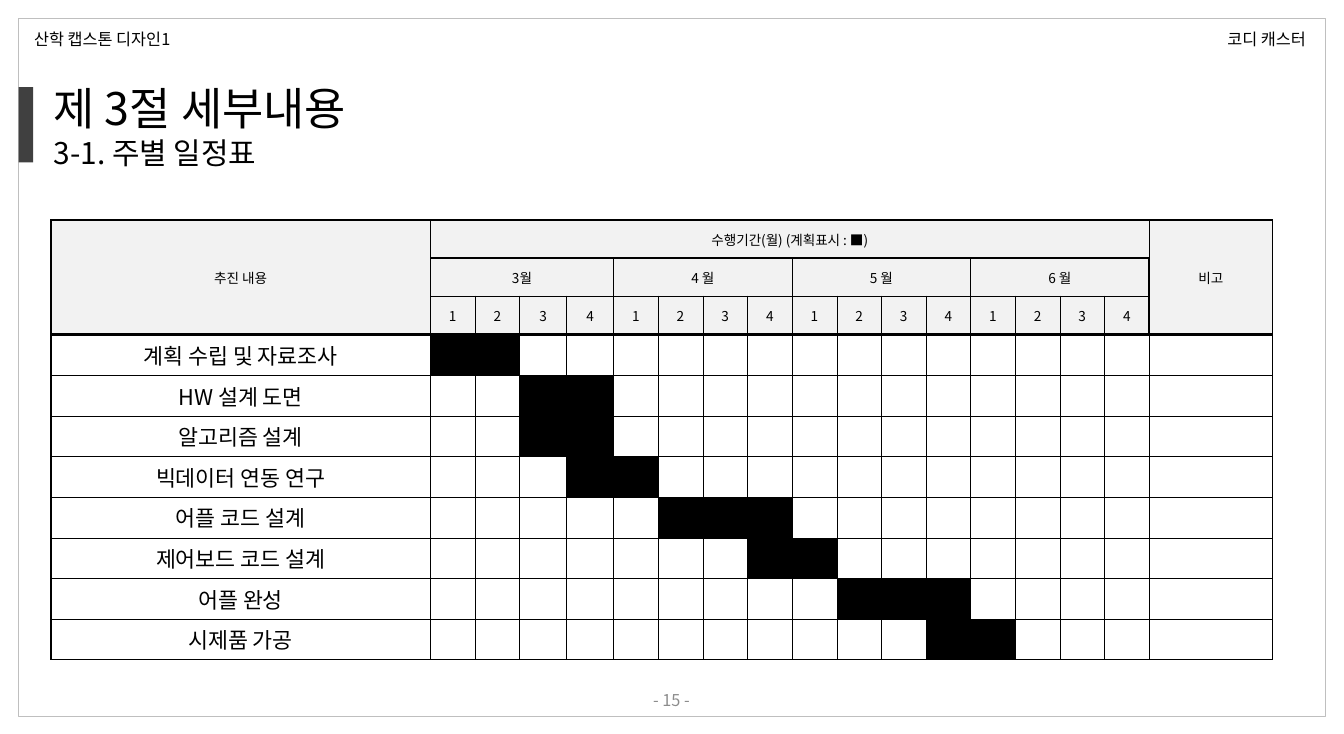
from lxml import etree
from pptx import Presentation, util as u
from pptx.dml.color import RGBColor
from pptx.enum import shapes, text
from pptx.oxml import ns

FONT = "Noto Sans CJK KR"
THIN, MEDIUM, THICK = 0.28, 1.41, 1.98


def colour(value):
    return RGBColor.from_string(value)


def write(frame, words, size=12, ink="000000", align=text.PP_ALIGN.LEFT, first=True):
    para = frame.paragraphs[0] if first else frame.add_paragraph()
    para.alignment = align
    span = para.add_run()
    span.text = words
    span.font.size = u.Pt(size)
    span.font.color.rgb = colour(ink)
    span.font.name = FONT
    etree.SubElement(span._r.get_or_add_rPr(), ns.qn("a:ea"), typeface=FONT)


deck = Presentation()
deck.slide_width, deck.slide_height = u.Inches(13.74), u.Inches(7.5)
page = deck.slides.add_slide(deck.slide_layouts[6])

frame_box = page.shapes.add_shape(
    shapes.MSO_SHAPE.RECTANGLE, u.Inches(0.19), u.Inches(0.19), u.Inches(13.36), u.Inches(7.13))
frame_box.shadow.inherit = False
frame_box.fill.background()
frame_box.line.color.rgb = colour("BFBFBF")
frame_box.line.width = u.Pt(1)

accent = page.shapes.add_shape(
    shapes.MSO_SHAPE.RECTANGLE, u.Inches(0.19), u.Inches(0.89), u.Inches(0.15), u.Inches(0.77))
accent.shadow.inherit = False
accent.fill.solid()
accent.fill.fore_color.rgb = colour("404040")
accent.line.fill.background()

LEFT, CENTER = text.PP_ALIGN.LEFT, text.PP_ALIGN.CENTER
labels = [
    (0.45, 0.78, 7.59, 1.01, [("제 3절 세부내용", 33), ("3-1. 주별 일정표", 22)], "000000", LEFT),
    (12.45, 0.25, 1.23, 0.3, [("코디 캐스터", 12)], "000000", LEFT),
    (4.69, 6.95, 4.35, 0.4, [("- 15 -", 12)], "8C8C8C", CENTER),
    (0.25, 0.25, 2.2, 0.3, [("산학 캡스톤 디자인1", 12)], "000000", LEFT),
]
for left, top, width, height, lines, ink, align in labels:
    box = page.shapes.add_textbox(u.Inches(left), u.Inches(top), u.Inches(width), u.Inches(height))
    box.text_frame.word_wrap = True
    if align == CENTER:
        box.text_frame.vertical_anchor = text.MSO_ANCHOR.MIDDLE
    else:
        box.text_frame.auto_size = text.MSO_AUTO_SIZE.SHAPE_TO_FIT_TEXT
    for index, (words, size) in enumerate(lines):
        write(box.text_frame, words, size=size, ink=ink, align=align, first=index == 0)

tasks = [
    ("계획 수립 및 자료조사", 1, 2),
    ("HW 설계 도면", 3, 4),
    ("알고리즘 설계", 3, 4),
    ("빅데이터 연동 연구", 4, 5),
    ("어플 코드 설계", 6, 8),
    ("제어보드 코드 설계", 8, 9),
    ("어플 완성", 10, 12),
    ("시제품 가공", 12, 13),
]
months = ["3월", "4 월", "5 월", "6 월"]
HEAD_ROWS, WEEKS = 3, 16
LAST_ROW, LAST_COL = HEAD_ROWS + len(tasks) - 1, WEEKS + 1
WIDTH, HEIGHT, TASK_WIDTH, NOTE_WIDTH, WIDE_WEEK, HEAD_HEIGHT = 12.49, 4.49, 3.88, 1.26, 0.48, 0.39

schedule = page.shapes.add_table(
    LAST_ROW + 1, LAST_COL + 1, u.Inches(0.52), u.Inches(2.25), u.Inches(WIDTH), u.Inches(HEIGHT)).table
schedule.first_row = False
schedule.horz_banding = False

week_width = (WIDTH - TASK_WIDTH - NOTE_WIDTH - 2 * WIDE_WEEK) / (WEEKS - 2)
special_widths = {0: TASK_WIDTH, 3: WIDE_WEEK, 4: WIDE_WEEK, LAST_COL: NOTE_WIDTH}
for index, column in enumerate(schedule.columns):
    column.width = u.Inches(special_widths.get(index, week_width))
task_height = (HEIGHT - HEAD_ROWS * HEAD_HEIGHT) / len(tasks)
for index, line in enumerate(schedule.rows):
    line.height = u.Inches(HEAD_HEIGHT if index < HEAD_ROWS else task_height)

words_at = {(0, 0): "추진 내용", (0, 1): "수행기간(월) (계획표시 : ■)", (0, LAST_COL): "비고"}
for col in (0, LAST_COL):
    schedule.cell(0, col).merge(schedule.cell(HEAD_ROWS - 1, col))
schedule.cell(0, 1).merge(schedule.cell(0, WEEKS))
for index, month in enumerate(months):
    col = 1 + 4 * index
    schedule.cell(1, col).merge(schedule.cell(1, col + 3))
    words_at[1, col] = month
for week in range(WEEKS):
    words_at[2, week + 1] = str(week % 4 + 1)
for index, (task, start, end) in enumerate(tasks):
    words_at[HEAD_ROWS + index, 0] = task

for row in range(LAST_ROW + 1):
    for col in range(LAST_COL + 1):
        cell = schedule.cell(row, col)
        if cell.is_spanned:
            continue
        head = row < HEAD_ROWS
        end_row = row + cell.span_height - 1 if cell.is_merge_origin else row
        end_col = col + cell.span_width - 1 if cell.is_merge_origin else col
        right_edge = end_col == LAST_COL or (end_col == WEEKS and row in (1, 2))
        borders = {
            "lnL": MEDIUM if col == 0 else THIN,
            "lnR": MEDIUM if right_edge else THIN,
            "lnT": MEDIUM if head else THICK if row == HEAD_ROWS else THIN,
            "lnB": THICK if end_row == HEAD_ROWS - 1 else MEDIUM if head or row == LAST_ROW else THIN,
        }
        cell.vertical_anchor = text.MSO_ANCHOR.MIDDLE
        cell.margin_left = cell.margin_right = cell.margin_top = cell.margin_bottom = u.Inches(0.02)
        props = cell._tc.get_or_add_tcPr()
        for side, points in borders.items():
            edge = etree.SubElement(props, ns.qn(f"a:{side}"), w=str(int(u.Pt(points))))
            paint = etree.SubElement(edge, ns.qn("a:solidFill"))
            etree.SubElement(paint, ns.qn("a:srgbClr"), val="000000")

        planned = not head and tasks[row - HEAD_ROWS][1] <= col <= tasks[row - HEAD_ROWS][2]
        if head or planned:
            cell.fill.solid()
            cell.fill.fore_color.rgb = colour("F2F2F2" if head else "000000")
        else:
            cell.fill.background()
        if (row, col) in words_at:
            write(cell.text_frame, words_at[row, col], size=10 if head else 16, align=CENTER)

deck.save("out.pptx")
